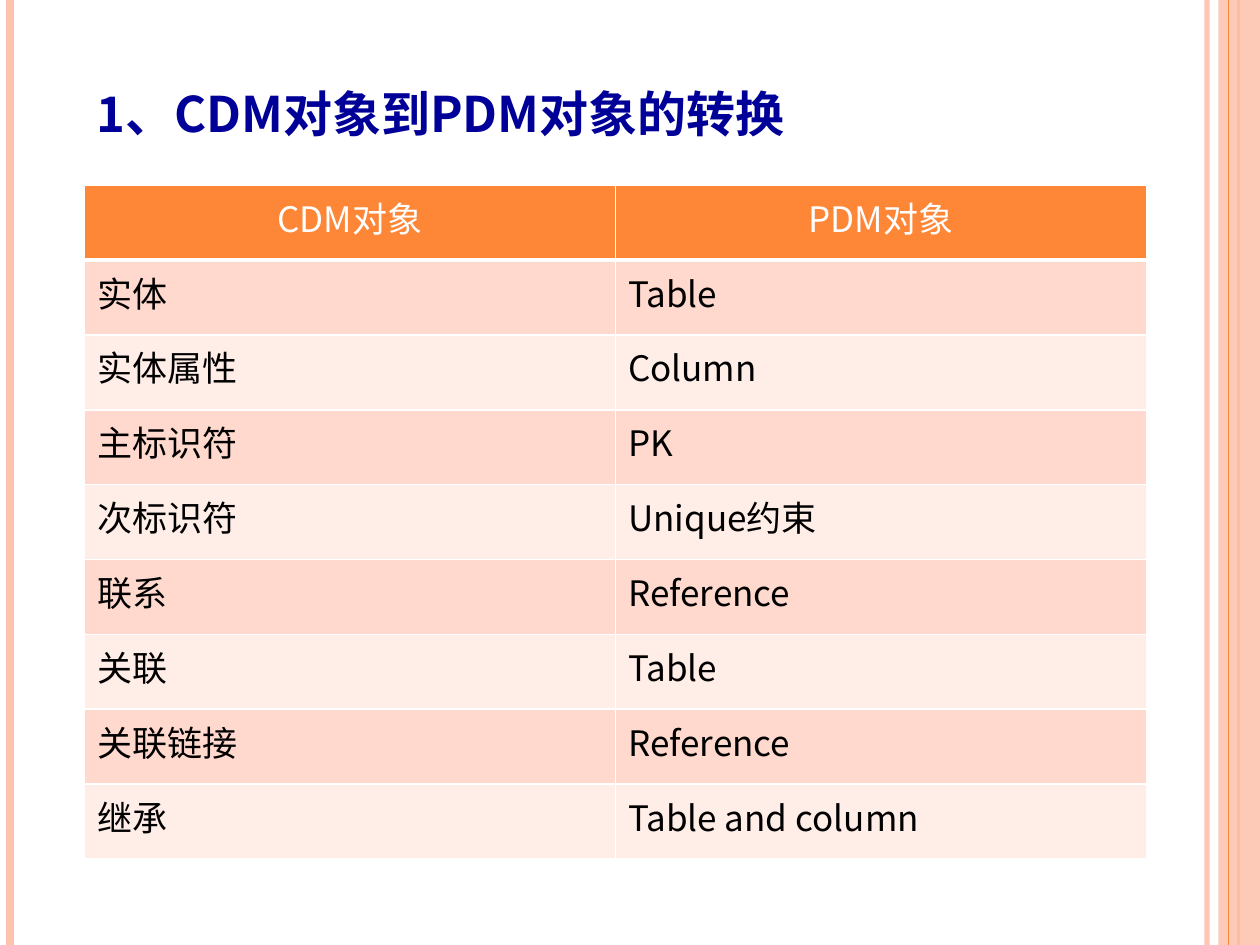
from lxml.etree import SubElement as Sub
from pptx import Presentation
from pptx.dml.color import RGBColor as RGB
from pptx.enum.shapes import MSO_CONNECTOR as Conn, MSO_SHAPE as Shape
from pptx.enum.text import MSO_ANCHOR as Anchor, PP_ALIGN as Align
from pptx.oxml.ns import qn
from pptx.util import Inches, Pt

TITLE = "1、CDM对象到PDM对象的转换"
ROWS = [
    ("CDM对象", "PDM对象"),
    ("实体", "Table"),
    ("实体属性", "Column"),
    ("主标识符", "PK"),
    ("次标识符", "Unique约束"),
    ("联系", "Reference"),
    ("关联", "Table"),
    ("关联链接", "Reference"),
    ("继承", "Table and column"),
]
THEME = {
    "font": "Noto Sans CJK SC",
    "title": "000099", "text": "000000", "white": "FFFFFF",
    "head": "FE8637", "pale": "FEC3AE", "bands": ("FFEDE8", "FFD9CE"),
    "big": 28, "body": 20,
}
BACK = [(9.58, "pale", 3, 93), (0.08, "pale", 4.5, 100), (9.83, "head", 1.5, 100)]
FRONT = [(9.75, "head", 0.75, 100)]
BAND = (9.67, 0, 0.33, 7.5)
HEAD = (0.67, 0.36, 8.53, 0.79)
GRID = (0.67, 1.47, 8.43, 5.35)


def box(at):
    return [Inches(n) for n in at]


def fade(fill, alpha):
    if alpha < 100:
        tint = fill._xPr.find(qn("a:solidFill"))[0]
        Sub(tint, qn("a:alpha"), val=str(alpha * 1000))


def rule(slide, x, tone, width, alpha):
    line = slide.shapes.add_connector(Conn.STRAIGHT, Inches(x), 0, Inches(x), Inches(7.5))
    line.line.width = Pt(width)
    line.line.fill.solid()
    line.line.fill.fore_color.rgb = RGB.from_string(THEME[tone])
    fade(line.line.fill, alpha)
    Sub(line._element.spPr, qn("a:effectLst"))


def write(frame, text, size, color, bold=False, align=Align.LEFT, space=None):
    para = frame.paragraphs[0]
    para.alignment = align
    para.line_spacing = space
    run = para.add_run()
    run.text = text
    font = run.font
    font.size, font.bold, font.name = Pt(size), bold, THEME["font"]
    font.color.rgb = RGB.from_string(color)
    Sub(run._r.get_or_add_rPr(), qn("a:ea"), typeface=THEME["font"])


def edge(cell, low):
    props = cell._tc.get_or_add_tcPr()
    for spot, (side, width) in enumerate(zip("LRTB", (1, 1, 1, low))):
        line = Sub(props, qn(f"a:ln{side}"), w=str(Pt(width)))
        fill = Sub(line, qn("a:solidFill"))
        Sub(fill, qn("a:srgbClr"), val=THEME["white"])
        props.insert(spot, line)


def grid(slide):
    table = slide.shapes.add_table(len(ROWS), len(ROWS[0]), *box(GRID)).table
    for r, row in enumerate(ROWS):
        table.rows[r].height = Inches(GRID[3] / len(ROWS))
        top = r == 0
        fill = THEME["head"] if top else THEME["bands"][r % 2]
        for c, text in enumerate(row):
            cell = table.cell(r, c)
            cell.fill.solid()
            cell.fill.fore_color.rgb = RGB.from_string(fill)
            edge(cell, 3 if top else 1)
            write(cell.text_frame, text, THEME["body"],
                  THEME["white" if top else "text"],
                  align=Align.CENTER if top else Align.LEFT)


def main():
    deck = Presentation()
    deck.slide_width, deck.slide_height = Inches(10), Inches(7.5)
    slide = deck.slides.add_slide(deck.slide_layouts[6])
    for item in BACK:
        rule(slide, *item)
    band = slide.shapes.add_shape(Shape.RECTANGLE, *box(BAND))
    band.shadow.inherit = False
    band.fill.solid()
    band.fill.fore_color.rgb = RGB.from_string(THEME["pale"])
    fade(band.fill, 87)
    band.line.fill.background()
    for item in FRONT:
        rule(slide, *item)
    frame = slide.shapes.add_textbox(*box(HEAD)).text_frame
    frame.word_wrap = True
    frame.vertical_anchor = Anchor.MIDDLE
    write(frame, TITLE, THEME["big"], THEME["title"], bold=True, space=1.6)
    grid(slide)
    deck.save("out.pptx")


if __name__ == "__main__":
    main()
